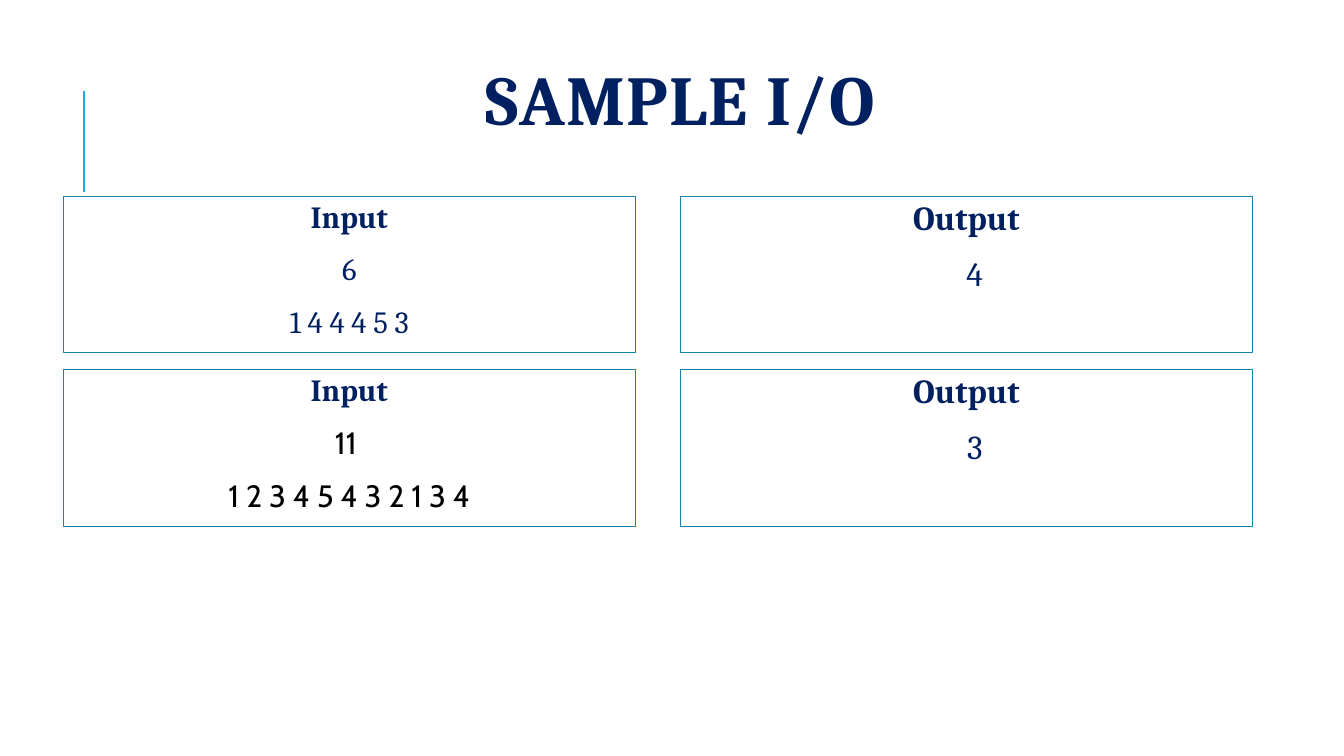
from dataclasses import dataclass

from lxml import etree
from pptx import Presentation
from pptx.dml.color import RGBColor
from pptx.enum import shapes, text
from pptx.oxml import ns
from pptx.slide import Slide
from pptx.util import Inches, Pt

NAVY = RGBColor(0x00, 0x20, 0x60)
BLACK = RGBColor(0x00, 0x00, 0x00)
SKY = RGBColor(0x1C, 0xAD, 0xE4)
TEAL = RGBColor(0x14, 0x82, 0xAC)
LEFT, TOP = 0.63, 1.95
COLUMN_STEP, ROW_STEP = 6.12, 1.72
WIDTH, HEIGHT = 5.67, 1.55


@dataclass(frozen=True)
class Panel:
    row: int
    column: int
    heading: str
    values: tuple[str, ...]
    size: int
    font: str = "Cambria"
    color: RGBColor = NAVY
    indented: bool = False


PANELS = (
    Panel(0, 0, "Input", ("6", "1 4 4 4 5 3"), 22),
    Panel(0, 1, "Output", ("4",), 24, indented=True),
    Panel(1, 0, "Input", ("11 ", "1 2 3 4 5 4 3 2 1 3 4"), 22, "Cabin", BLACK),
    Panel(1, 1, "Output", ("3",), 24, indented=True),
)


def style_run(run, font: str, size: int, color: RGBColor, bold: bool) -> None:
    run.font.name = font
    run.font.size = Pt(size)
    run.font.color.rgb = color
    run.font.bold = bold


def add_blank_bullet(paragraph) -> None:
    properties = paragraph._p.get_or_add_pPr()
    properties.set("marL", str(Inches(0.1)))
    properties.set("indent", str(Inches(-0.1)))
    bullet_color = etree.SubElement(properties, ns.qn("a:buClr"))
    etree.SubElement(bullet_color, ns.qn("a:srgbClr"), val=str(SKY))
    etree.SubElement(properties, ns.qn("a:buChar"), char=" ")


def draw_title(slide: Slide) -> None:
    title = slide.shapes.add_textbox(Inches(1), Inches(0.32), Inches(11.5), Inches(1.45))
    frame = title.text_frame
    frame.word_wrap = True
    frame.vertical_anchor = text.MSO_ANCHOR.MIDDLE
    frame.text = "SAMPLE I/O"
    paragraph = frame.paragraphs[0]
    paragraph.alignment = text.PP_ALIGN.CENTER
    paragraph.line_spacing = 0.8
    style_run(paragraph.runs[0], "Cambria", 50, NAVY, True)
    paragraph.runs[0].font._element.set("spc", "100")


def draw_accent(slide: Slide) -> None:
    accent = slide.shapes.add_connector(
        shapes.MSO_CONNECTOR.STRAIGHT,
        Inches(0.83), Inches(1.9), Inches(0.83), Inches(0.9),
    )
    accent.line.color.rgb = SKY
    accent.line.width = Pt(1.5)
    etree.SubElement(accent._element.spPr, ns.qn("a:effectLst"))


def draw_panel(slide: Slide, panel: Panel) -> None:
    box = slide.shapes.add_shape(
        shapes.MSO_SHAPE.RECTANGLE,
        Inches(LEFT + panel.column * COLUMN_STEP),
        Inches(TOP + panel.row * ROW_STEP),
        Inches(WIDTH), Inches(HEIGHT),
    )
    box.shadow.inherit = False
    box.fill.background()
    box.line.color.rgb = TEAL
    box.line.width = Pt(0.75)
    frame = box.text_frame
    frame.word_wrap = True
    frame.vertical_anchor = text.MSO_ANCHOR.TOP
    frame.margin_left = frame.margin_right = Inches(0.05)
    frame.margin_top = frame.margin_bottom = Inches(0.05)
    frame.text = "\n".join((panel.heading, *panel.values))
    for index, paragraph in enumerate(frame.paragraphs):
        is_heading = index == 0
        paragraph.alignment = text.PP_ALIGN.CENTER
        paragraph.line_spacing = 0.9
        paragraph.space_before = Pt(0 if is_heading else 12)
        paragraph.space_after = Pt(2)
        if panel.indented and not is_heading:
            add_blank_bullet(paragraph)
        font = "Cambria" if is_heading else panel.font
        color = NAVY if is_heading else panel.color
        style_run(paragraph.runs[0], font, panel.size, color, is_heading)


def main() -> None:
    presentation = Presentation()
    presentation.slide_width = Inches(13.33)
    presentation.slide_height = Inches(7.5)
    slide = presentation.slides.add_slide(presentation.slide_layouts[6])
    draw_accent(slide)
    draw_title(slide)
    for panel in PANELS:
        draw_panel(slide, panel)
    presentation.save("out.pptx")


main()
